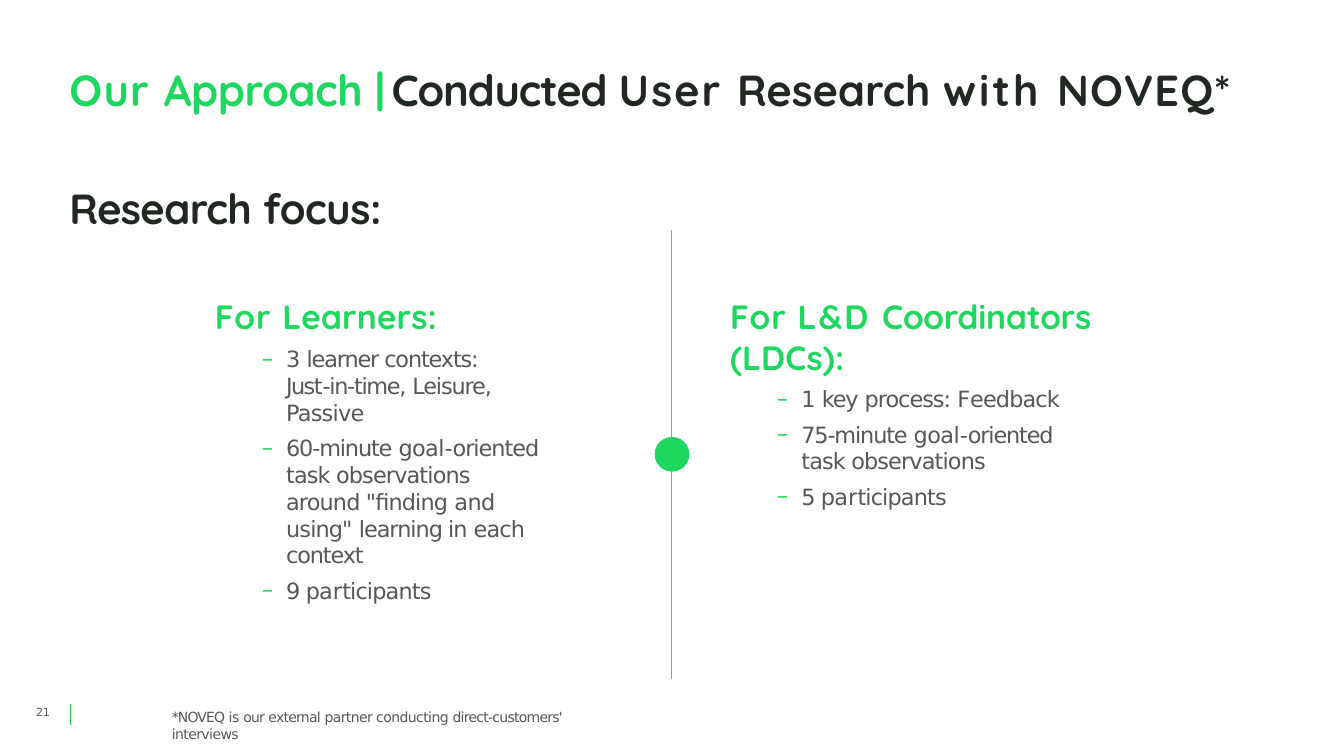
from pptx import Presentation
from pptx.util import Pt
from pptx.dml.color import RGBColor
from pptx.enum.shapes import MSO_CONNECTOR, MSO_SHAPE
from lxml.etree import SubElement
from pptx.oxml.ns import qn

GREEN, DARK, GRAY, RULE = "1ED75F", "212721", "575757", "9A9A9A"
HEAD, BODY = "Quicksand", "DejaVu Sans"


def paint(item, tone):
    item.rgb = RGBColor.from_string(tone)


def write(para, runs, size, face, tone, bold=False):
    # Each run is (text, letter spacing in points[, own colour])
    for text, gap, *own in runs:
        if text == "\n":
            para.add_line_break()
            continue
        run = para.add_run()
        run.text = text
        run.font.size, run.font.name, run.font.bold = Pt(size), face, bold
        paint(run.font.color, own[0] if own else tone)
        run.font._element.set("spc", str(round(gap * 100)))


deck = Presentation()
deck.slide_width, deck.slide_height = Pt(960), Pt(540)
slide = deck.slides.add_slide(deck.slide_layouts[6])
shapes = slide.shapes

# Title, subtitle, page number and footnote
title = [("Our ", 0.9, GREEN), ("Approach ", -0.2, GREEN), ("| ", -4.2, GREEN),
         ("Conducted ", -0.8), ("User ", 1.6), ("Research ", 0),
         ("with ", 2.2), ("NOVEQ*", 0.9)]
note = [("*NOVEQ ", -0.6), ("is ", -0.3), ("our ", -0.6), ("external ", -0.5),
        ("partner conducting ", -0.4), ("direct-customers'", -0.5),
        ("\n", 0), ("interviews", -0.4)]
lines = [
    (48.7, 43.9, 850.3, 38.9, title, 31, HEAD, DARK, True),
    (48.7, 129.4, 226.8, 38.2, [("Research ", -0.5), ("focus:", -0.4)],
     30, HEAD, DARK, True),
    (25, 502.8, 11.5, 11.5, [("21", -0.3)], 8, BODY, "525A5A", False),
    (121.8, 505.4, 332.6, 13.7, note, 10, BODY, GRAY, False),
]

# Two columns: heading and bullets
learn = [
    [("For ", 0.8), ("Learners:", 0.1)],
    [("3 ", -0.6), ("learner ", -0.8), ("contexts:", -0.8), ("\n", 0),
     ("Just", -1.1), ("-in-time, ", -0.9), ("Leisure,", -0.8), ("\n", 0),
     ("Passive", -0.5)],
    [("60-minute ", -0.8), ("goal", -0.4), ("-", -0.1), ("oriented ", -0.7),
     ("task observations", -0.6), ("\n", 0), ("around \"ﬁnding ", -0.6),
     ("and", -0.4), ("\n", 0), ("using\" ", -0.6), ("learning in ", -0.7),
     ("each", -0.6), ("\n", 0), ("context", -0.8)],
    [("9 pa", -0.6), ("r", 0.2), ("ticipants", -0.6)],
]
coord = [
    [("For ", 0.8), ("L&D ", 1.5), ("Coordinators ", -0.1), ("(LDCs):", 0.1)],
    [("1 ", -0.6), ("key ", -0.8), ("process: ", -0.7), ("F", -0.3),
     ("eedback", -0.6)],
    [("75-minute ", -0.8), ("goal", -0.4), ("-", -0.1), ("oriented", -0.8),
     ("\n", 0), ("task observations", -0.6)],
    [("5 pa", -0.6), ("r", 0.2), ("ticipants", -0.6)],
]
cols = [(152.6, 200.9, 241.2, 212.4, learn), (520.6, 200.9, 339.1, 135.4, coord)]

for x, y, w, h, text, *style in lines + cols:
    frame = shapes.add_textbox(Pt(x), Pt(y), Pt(w), Pt(h)).text_frame
    frame.word_wrap = True
    frame.margin_left = frame.margin_right = frame.margin_bottom = 0
    frame.margin_top = Pt(0.9 if style else 10.8)
    para = frame.paragraphs[0]
    para._p.get_or_add_pPr().set("marL", str(Pt(0.9)))
    if style:
        write(para, text, *style)
        continue
    write(para, text[0], 24, HEAD, GREEN, True)
    for runs in text[1:]:
        para = frame.add_paragraph()
        props = para._p.get_or_add_pPr()
        props.set("marL", str(Pt(51.8)))
        props.set("indent", str(Pt(-17.3)))
        tint = SubElement(props, qn("a:buClr"))
        SubElement(tint, qn("a:srgbClr")).set("val", GREEN)
        SubElement(props, qn("a:buFont")).set("typeface", BODY)
        SubElement(props, qn("a:buChar")).set("char", "–")
        para.space_before = Pt(6)
        write(para, runs, 16, BODY, GRAY)

# Page tick and centre divider
for x, top, end, tone in [(50.6, 502.6, 518.2, GREEN), (480, 164.2, 485.3, RULE)]:
    line = shapes.add_connector(MSO_CONNECTOR.STRAIGHT, Pt(x), Pt(top), Pt(x), Pt(end))
    paint(line.line.color, tone)
    line.line.width = Pt(0.75)
    SubElement(line._element.spPr, qn("a:effectLst"))

# Dot on the divider
dot = shapes.add_shape(MSO_SHAPE.OVAL, Pt(468), Pt(312.5), Pt(24), Pt(24))
dot.shadow.inherit = False
dot.fill.solid()
paint(dot.fill.fore_color, GREEN)
paint(dot.line.color, GREEN)
dot.line.width = Pt(0.75)

deck.save("out.pptx")
